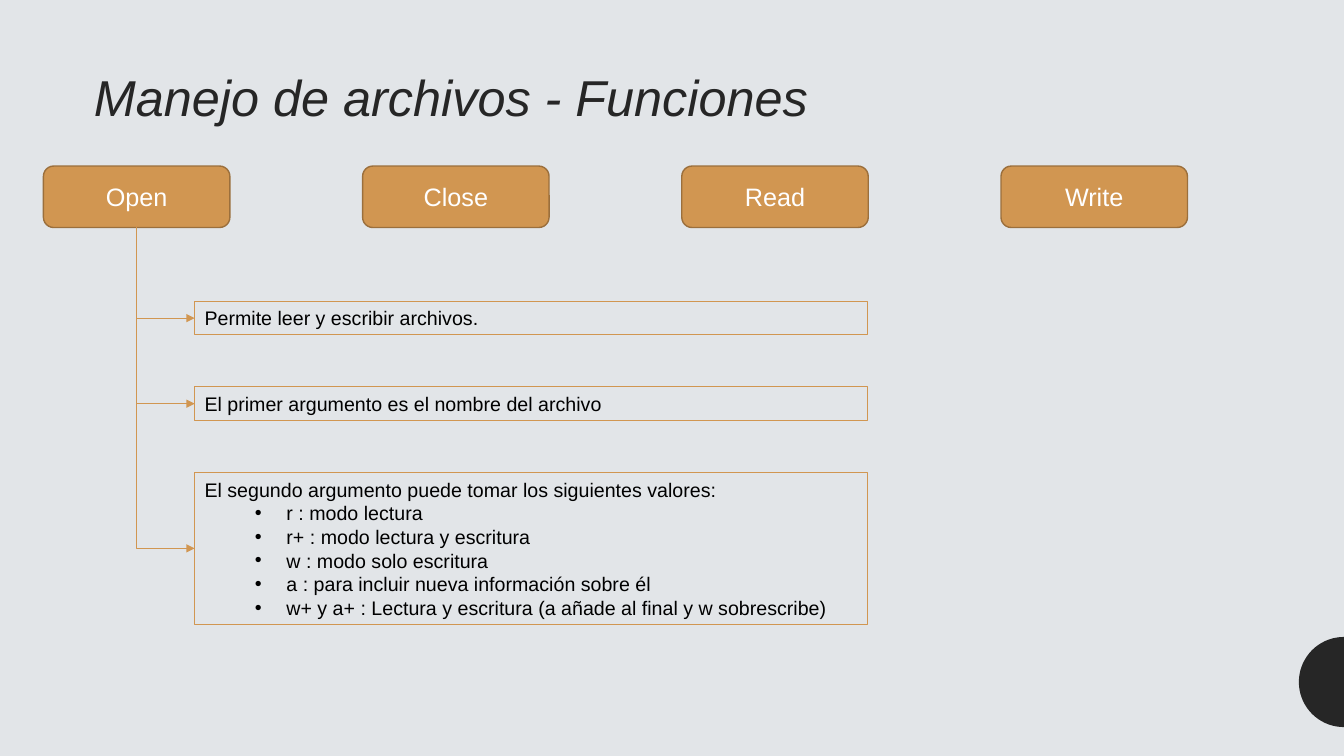
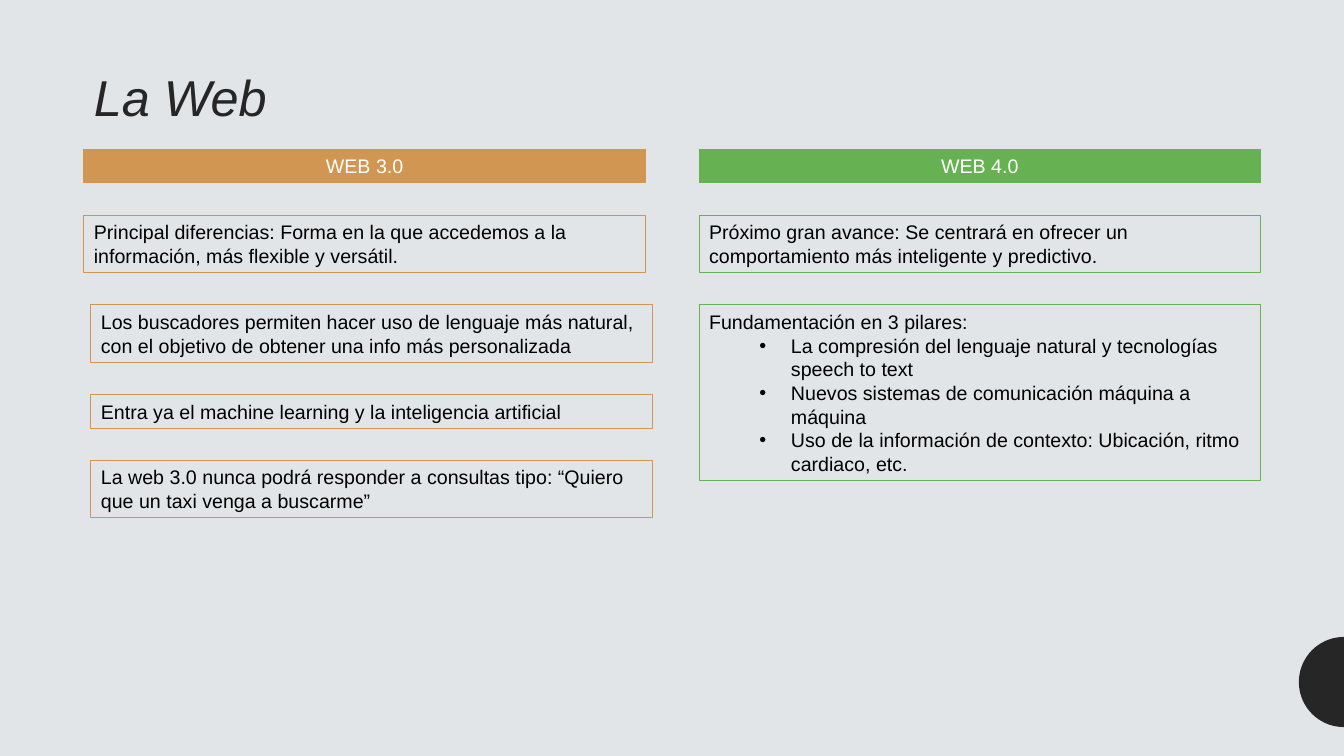
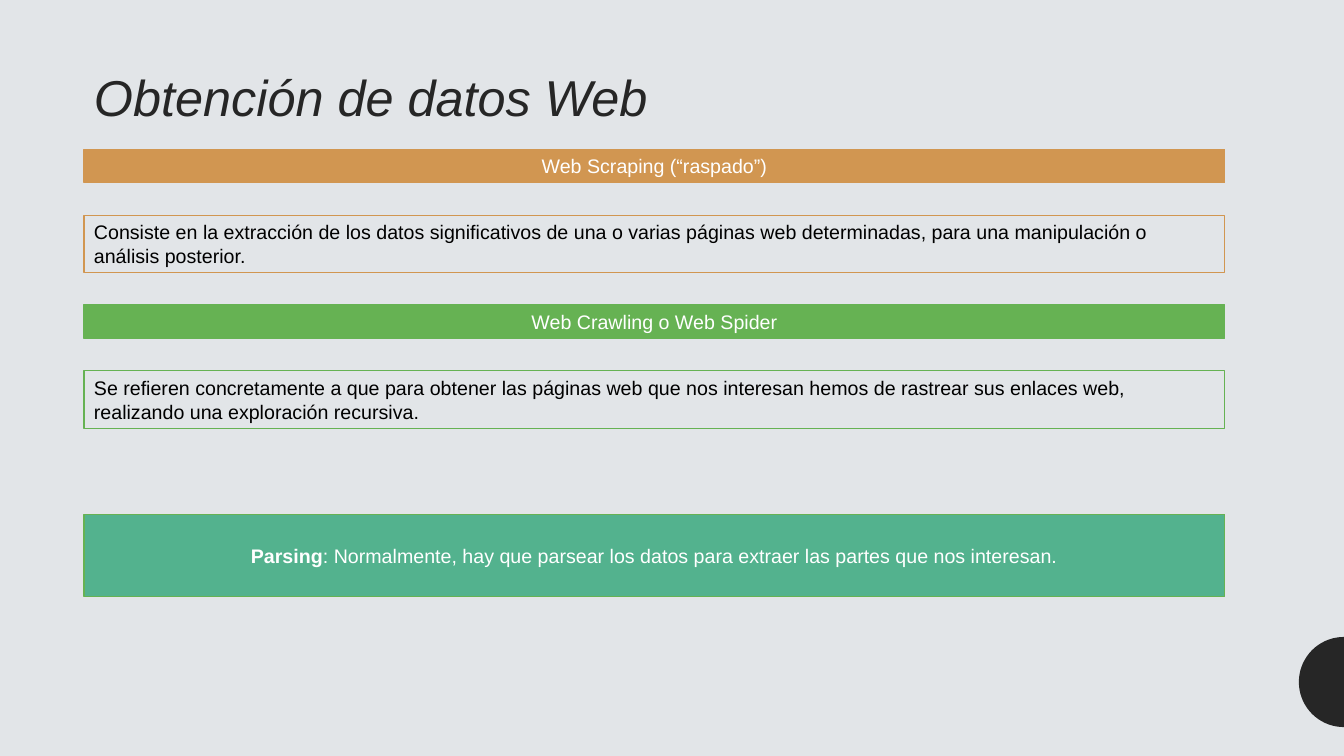
import math
from dataclasses import dataclass
from typing import Any

from lxml import etree
from pptx import Presentation
from pptx import util as u
from pptx.dml import color
from pptx.enum import shapes, text
from pptx.oxml import ns

COLORS = {
    "background": "E2E5E8",
    "dark": "262626",
    "orange": "D19651",
    "brown": "9B6F3C",
    "green": "66B253",
    "teal": "53B28E",
    "white": "FFFFFF",
    "black": "000000",
}
TITLE_FONT = {"name": "Arial", "size": u.Pt(36), "italic": True}
BUTTON_FONT = {"name": "Arial", "size": u.Pt(18)}
BODY_FONT = {"name": "Arial", "size": u.Pt(14)}
LINE_HEIGHT = 16.9
INSETS_HEIGHT = 7.2
LEFT = 60
BAND_TOP = 106.6
BAND_GAP = 23


@dataclass(frozen=True)
class Block:
    words: str
    tone: str
    lines: int = 1
    filled: bool = False
    bullets: tuple[str, ...] = ()
    shift: float = 0

    @property
    def height(self) -> float:
        return INSETS_HEIGHT + LINE_HEIGHT * self.lines


def rgb(name: str) -> color.RGBColor:
    return color.RGBColor.from_string(COLORS[name])


def assign(target: Any, values: dict[str, Any]) -> None:
    for name, value in values.items():
        setattr(target, name, value)


def add_span(para: Any, words: str, style: dict[str, Any], tone: str) -> Any:
    span = para.add_run()
    span.text = words
    assign(span.font, style)
    span.font.color.rgb = rgb(tone)
    return span


def add_box(page: Any, kind: Any, place: tuple[float, ...], fill: str | None,
            line: str, weight: float) -> Any:
    box = page.shapes.add_shape(kind, *map(u.Pt, place))
    box.shadow.inherit = False
    if fill:
        box.fill.solid()
        box.fill.fore_color.rgb = rgb(fill)
    else:
        box.fill.background()
    box.line.color.rgb = rgb(line)
    box.line.width = u.Pt(weight)
    box.text_frame.word_wrap = True
    return box


def make_bullet(para: Any) -> None:
    para.level = 1
    props = para._p.get_or_add_pPr()
    props.set("marL", str(u.Pt(58.5)))
    props.set("indent", str(u.Pt(-22.5)))
    etree.SubElement(props, ns.qn("a:buFont")).set("typeface", "Arial")
    etree.SubElement(props, ns.qn("a:buChar")).set("char", "•")


def add_block(page: Any, block: Block, left: float, top: float, width: float) -> Any:
    place = (left + block.shift, top, width, block.height)
    box = add_box(page, shapes.MSO_SHAPE.RECTANGLE, place,
                  block.tone if block.filled else None, block.tone, 0.75)
    frame = box.text_frame
    assign(frame, {"vertical_anchor": text.MSO_ANCHOR.TOP,
                   "auto_size": text.MSO_AUTO_SIZE.SHAPE_TO_FIT_TEXT})
    for index, words in enumerate((block.words, *block.bullets)):
        para = frame.add_paragraph() if index else frame.paragraphs[0]
        para.alignment = text.PP_ALIGN.CENTER if block.filled else text.PP_ALIGN.LEFT
        para.line_spacing = u.Pt(LINE_HEIGHT)
        if index:
            make_bullet(para)
        add_span(para, words, BODY_FONT, "white" if block.filled else "black")
    return box


def add_stack(page: Any, blocks: tuple[Block, ...], left: float, top: float,
              width: float, gap: float) -> list[Any]:
    boxes = []
    for block in blocks:
        boxes.append(add_block(page, block, left, top, width))
        top += block.height + gap
    return boxes


def add_half_disc(page: Any) -> None:
    center_x, center_y, radius, steps = 960, 487.2, 32.2, 36
    points = []
    for step in range(steps + 1):
        angle = math.pi / 2 + math.pi * step / steps
        points.append((u.Pt(center_x + radius * math.cos(angle)),
                       u.Pt(center_y + radius * math.sin(angle))))
    builder = page.shapes.build_freeform(*points[0])
    builder.add_line_segments(points[1:], close=True)
    disc = builder.convert_to_shape()
    disc.shadow.inherit = False
    disc.fill.solid()
    disc.fill.fore_color.rgb = rgb("dark")
    disc.line.fill.background()


def add_page(deck: Any, title: str) -> Any:
    page = deck.slides.add_slide(deck.slide_layouts[6])
    add_half_disc(page)
    box = page.shapes.add_textbox(u.Pt(LEFT), u.Pt(34.6), u.Pt(840), u.Pt(64.8))
    assign(box.text_frame, {"word_wrap": True, "vertical_anchor": text.MSO_ANCHOR.MIDDLE})
    para = box.text_frame.paragraphs[0]
    para.line_spacing = 1.1
    add_span(para, title, TITLE_FONT, "dark")
    return page


def add_button(page: Any, label: str, left: float) -> Any:
    box = add_box(page, shapes.MSO_SHAPE.ROUNDED_RECTANGLE, (left, 118.6, 133.2, 43.9),
                  "orange", "brown", 1)
    box.text_frame.vertical_anchor = text.MSO_ANCHOR.MIDDLE
    para = box.text_frame.paragraphs[0]
    para.alignment = text.PP_ALIGN.CENTER
    add_span(para, label, BUTTON_FONT, "white")
    return box


def add_branch(page: Any, source: Any, target: Any) -> None:
    start_x, start_y = source.left + source.width // 2, source.top + source.height
    end_x, end_y = target.left, target.top + target.height // 2
    branch = page.shapes.add_connector(shapes.MSO_CONNECTOR.ELBOW,
                                       start_x, start_y, end_x, end_y)
    branch.begin_connect(source, 2)
    branch.end_connect(target, 1)
    run, drop = end_x - start_x, end_y - start_y
    assign(branch, {"left": (start_x + end_x - drop) // 2,
                    "top": (start_y + end_y - run) // 2,
                    "width": drop, "height": run})
    branch.line.color.rgb = rgb("orange")
    branch.line.width = u.Pt(0.5)
    props = branch._element.spPr
    assign(props.find(ns.qn("a:xfrm")), {"rot": 270, "flipH": True})
    props.find(ns.qn("a:prstGeom")).set("prst", "bentConnector2")
    etree.SubElement(props.find(ns.qn("a:ln")), ns.qn("a:tailEnd")).set("type", "triangle")
    etree.SubElement(props, ns.qn("a:effectLst"))


def build_functions(deck: Any) -> None:
    page = add_page(deck, "Manejo de archivos - Funciones")
    labels = ("Open", "Close", "Read", "Write")
    buttons = [add_button(page, label, 31 + 228 * index)
               for index, label in enumerate(labels)]
    blocks = (
        Block("Permite leer y escribir archivos.", "orange"),
        Block("El primer argumento es el nombre del archivo", "orange"),
        Block("El segundo argumento puede tomar los siguientes valores:", "orange", 6,
              bullets=("r : modo lectura",
                       "r+ : modo lectura y escritura",
                       "w : modo solo escritura",
                       "a : para incluir nueva información sobre él",
                       "w+ y a+ : Lectura y escritura (a añade al final y w sobrescribe)")),
    )
    for box in add_stack(page, blocks, 139, 215.2, 481, 37):
        add_branch(page, buttons[0], box)


def build_web(deck: Any) -> None:
    page = add_page(deck, "La Web")
    web_3 = (
        Block("WEB 3.0", "orange", filled=True),
        Block("Principal diferencias: Forma en la que accedemos a la información, "
              "más flexible y versátil.", "orange", 2),
        Block("Los buscadores permiten hacer uso de lenguaje más natural, con el objetivo "
              "de obtener una info más personalizada", "orange", 2, shift=5),
        Block("Entra ya el machine learning y la inteligencia artificial", "orange", shift=5),
        Block("La web 3.0 nunca podrá responder a consultas tipo: “Quiero que un taxi "
              "venga a buscarme”", "orange", 2, shift=5),
    )
    web_4 = (
        Block("WEB 4.0", "green", filled=True),
        Block("Próximo gran avance: Se centrará en ofrecer un comportamiento más "
              "inteligente y predictivo.", "green", 2),
        Block("Fundamentación en 3 pilares:", "green", 7,
              bullets=("La compresión del lenguaje natural y tecnologías speech to text",
                       "Nuevos sistemas de comunicación máquina a máquina",
                       "Uso de la información de contexto: Ubicación, ritmo cardiaco, etc.")),
    )
    for left, blocks in ((LEFT, web_3), (499.4, web_4)):
        add_stack(page, blocks, left, BAND_TOP, 401, BAND_GAP)


def build_data(deck: Any) -> None:
    page = add_page(deck, "Obtención de datos Web")
    width = 815
    blocks = (
        Block("Web Scraping (“raspado”)", "orange", filled=True),
        Block("Consiste en la extracción de los datos significativos de una o varias páginas "
              "web determinadas, para una manipulación o análisis posterior.", "orange", 2),
        Block("Web Crawling o Web Spider", "green", filled=True),
        Block("Se refieren concretamente a que para obtener las páginas web que nos interesan "
              "hemos de rastrear sus enlaces web, realizando una exploración recursiva.",
              "green", 2),
    )
    add_stack(page, blocks, LEFT, BAND_TOP, width, BAND_GAP)
    parsing = add_box(page, shapes.MSO_SHAPE.RECTANGLE, (LEFT, 367.2, width, 59),
                      "teal", "green", 0.75)
    parsing.text_frame.vertical_anchor = text.MSO_ANCHOR.MIDDLE
    para = parsing.text_frame.paragraphs[0]
    para.alignment = text.PP_ALIGN.CENTER
    add_span(para, "Parsing", BODY_FONT | {"bold": True}, "white")
    add_span(para, ": Normalmente, hay que parsear los datos para extraer las partes "
             "que nos interesan.", BODY_FONT, "white")


def main() -> None:
    deck = Presentation()
    assign(deck, {"slide_width": u.Pt(960), "slide_height": u.Pt(540)})
    backdrop = deck.slide_master.background.fill
    backdrop.solid()
    backdrop.fore_color.rgb = rgb("background")
    for build in (build_functions, build_web, build_data):
        build(deck)
    deck.save("out.pptx")


if __name__ == "__main__":
    main()
